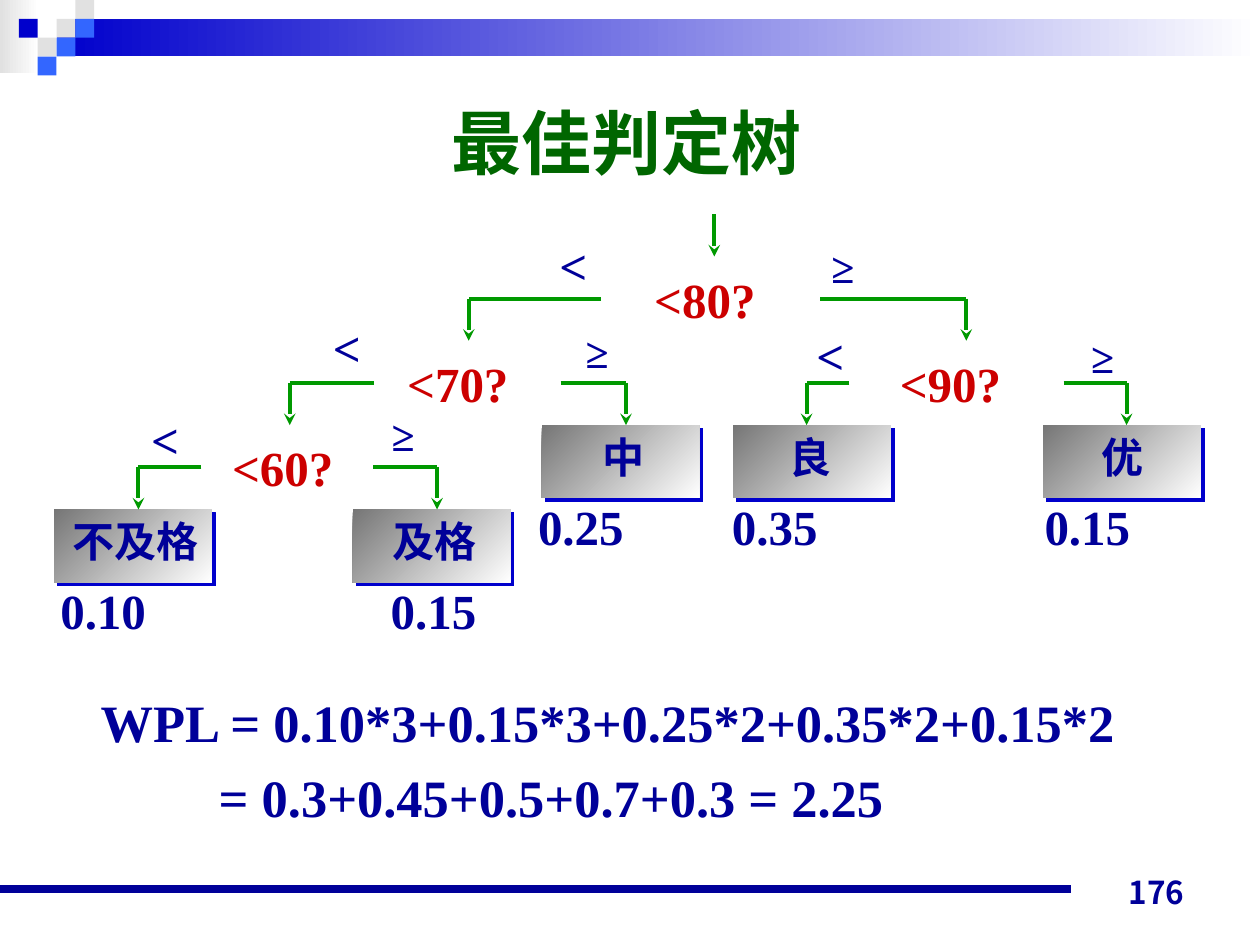
import pptx
import pptx.dml.color
import pptx.enum.shapes
import pptx.enum.text
import pptx.oxml
import pptx.oxml.ns
import pptx.util
from dataclasses import dataclass

Cm = pptx.util.Cm
Pt = pptx.util.Pt
RGB = pptx.dml.color.RGBColor.from_string
Align = pptx.enum.text.PP_ALIGN
Anchor = pptx.enum.text.MSO_ANCHOR
qn = pptx.oxml.ns.qn


@dataclass
class Theme:
    latin: str = "Times New Roman"
    asian: str = "Noto Sans CJK JP"
    navy: str = "000099"
    blue: str = "0000CC"
    sky: str = "3366FF"
    mist: str = "E1E1E1"
    steel: str = "767676"
    white: str = "FFFFFF"
    title_green: str = "006600"
    branch_green: str = "009900"
    red: str = "CC0000"
    title_size: int = 40
    formula_size: int = 30
    value_size: int = 28
    label_size: int = 24
    number_size: int = 18


theme = Theme()


def write_span(para, text, size, colour, latin=theme.latin):
    span = para.add_run()
    span.text = text
    span.font.size = Pt(size)
    span.font.bold = True
    span.font.color.rgb = RGB(colour)
    span.font.name = latin
    asian = pptx.oxml.parse_xml(
        f'<a:ea {pptx.oxml.ns.nsdecls("a")} typeface="{theme.asian}"/>')
    span.font._element.find(qn("a:latin")).addnext(asian)


def draw_line(x1, y1, x2, y2, colour, width, arrow=False):
    line = page.shapes.add_connector(
        pptx.enum.shapes.MSO_CONNECTOR.STRAIGHT, Cm(x1), Cm(y1), Cm(x2), Cm(y2))
    line.line.color.rgb = RGB(colour)
    line.line.width = Pt(width)
    properties = line._element.spPr
    if arrow:
        head = pptx.oxml.parse_xml(
            f'<a:tailEnd {pptx.oxml.ns.nsdecls("a")} type="stealth"/>')
        properties.find(qn("a:ln")).append(head)
    properties.append(pptx.oxml.parse_xml(
        f'<a:effectLst {pptx.oxml.ns.nsdecls("a")}/>'))


deck = pptx.Presentation()
deck.slide_width, deck.slide_height = Cm(25.4), Cm(19.05)
page = deck.slides.add_slide(deck.slide_layouts[5])

# Title
title = page.shapes.title
title.left, title.top, title.width, title.height = Cm(8.84), Cm(1.88), Cm(7.57), Cm(1.96)
title.text_frame.word_wrap = False
title.text_frame.vertical_anchor = Anchor.MIDDLE
title.text_frame.paragraphs[0].alignment = Align.CENTER
write_span(title.text_frame.paragraphs[0], "最佳判定树", theme.title_size, theme.title_green)

# Tree geometry: one step per level, each arrow drops half a step
step = 1.7
drop = step / 2
bar_tops = [6.02 + step * level for level in range(3)]

# Leaves: name, level of the branch, left edge, name centre, weight, weight centre
leaves = [
    ("不及格", 2, 1.09, 2.73, "0.10", 2.08),
    ("及格", 2, 7.11, 8.75, "0.15", 8.74),
    ("中", 1, 10.92, 12.57, "0.25", 11.71),
    ("良", 1, 14.78, 16.33, "0.35", 15.62),
    ("优", 1, 21.03, 22.63, "0.15", 21.92),
]

# Rectangles: left, top, width, height, start colour, end colour, angle, raised
cell = 0.38
rectangles = [
    (0, 0, 0.79, 1.47, theme.mist, theme.white, 0, False),
    (3 * cell, cell, 24.26, 2 * cell, theme.blue, theme.white, 0, False),
]
for column, row, colour in [
    (3, 1, theme.mist), (4, 0, theme.mist), (4, 1, theme.sky), (2, 2, theme.mist),
    (1, 1, theme.blue), (3, 2, theme.sky), (2, 3, theme.sky),
]:
    rectangles.append((column * cell, row * cell, cell, cell, colour, None, 0, False))
for name, level, left, name_x, weight, weight_x in leaves:
    rectangles.append((left, bar_tops[level] + drop, 3.18, 1.47,
                       theme.steel, theme.white, 315, True))

for left, top, width, height, start, end, angle, raised in rectangles:
    box = page.shapes.add_shape(pptx.enum.shapes.MSO_SHAPE.RECTANGLE,
                                Cm(left), Cm(top), Cm(width), Cm(height))
    box.shadow.inherit = False
    box.line.fill.background()
    if end is None:
        box.fill.solid()
        box.fill.fore_color.rgb = RGB(start)
    else:
        box.fill.gradient()
        box.fill.gradient_angle = angle
        for stop, colour in zip(box.fill.gradient_stops, (start, end)):
            stop.color.rgb = RGB(colour)
    if raised:
        box._element.spPr.find(qn("a:effectLst")).append(pptx.oxml.parse_xml(
            f'<a:outerShdw {pptx.oxml.ns.nsdecls("a")} dist="{Pt(2.8)}" dir="2700000" '
            f'algn="ctr" rotWithShape="0"><a:srgbClr val="{theme.blue}"/></a:outerShdw>'))

# Branches: level, bar start, bar end, sign, sign centre
branches = [
    (0, 12.12, 9.45, "<", 11.56, 5.35),
    (0, 16.54, 19.48, "≥", 16.99, 5.38),
    (1, 7.54, 5.84, "<", 6.99, 7.0),
    (1, 11.3, 12.62, "≥", 12.04, 7.09),
    (1, 17.12, 16.26, "<", 16.74, 7.15),
    (1, 21.44, 22.71, "≥", 22.23, 7.19),
    (2, 4.06, 2.79, "<", 3.33, 8.85),
    (2, 7.52, 8.81, "≥", 8.13, 8.76),
]
draw_line(14.4, 4.32, 14.4, 4.32 + drop, theme.branch_green, 2.25, arrow=True)
for level, start, end, sign, sign_x, sign_y in branches:
    y = bar_tops[level]
    draw_line(start, y, end, y, theme.branch_green, 2.25)
    draw_line(end, y, end, y + drop, theme.branch_green, 2.25, arrow=True)

# Labels: text, centre x, centre y, width, height, size, colour
labels = []
for text, level, x in [("<60?", 2, 5.7), ("<70?", 1, 9.23),
                       ("<80?", 0, 14.21), ("<90?", 1, 19.16)]:
    labels.append((text, x, bar_tops[level], 2.57, 1.45, theme.value_size, theme.red))
for level, start, end, sign, sign_x, sign_y in branches:
    width, height, size = {"<": (1.07, 1.45, theme.value_size),
                           "≥": (1.37, 1.27, theme.label_size)}[sign]
    labels.append((sign, sign_x, sign_y, width, height, size, theme.navy))
for name, level, left, name_x, weight, weight_x in leaves:
    top = bar_tops[level] + drop
    labels.append((name, name_x, top + 0.64, 0.5 + 0.86 * len(name), 1.27,
                   theme.label_size, theme.navy))
    labels.append((weight, weight_x, top + 2.03, 2.24, 1.45, theme.value_size, theme.navy))

for text, x, y, width, height, size, colour in labels:
    box = page.shapes.add_textbox(Cm(x - width / 2), Cm(y - height / 2), Cm(width), Cm(height))
    box.text_frame.word_wrap = False
    box.text_frame.vertical_anchor = Anchor.MIDDLE
    para = box.text_frame.paragraphs[0]
    para.alignment = Align.CENTER
    write_span(para, text, size, colour)

# Weighted path length
formula = page.shapes.add_textbox(Cm(1.78), Cm(13.77), Cm(21.03), Cm(3.05)).text_frame
formula.word_wrap = False
formula.vertical_anchor = Anchor.MIDDLE
write_span(formula.paragraphs[0], "WPL = 0.10*3+0.15*3+0.25*2+0.35*2+0.15*2",
           theme.formula_size, theme.navy)
para = formula.add_paragraph()
para.space_before = Pt(7)
para._p.get_or_add_pPr().set("marL", str(Cm(2.38)))
write_span(para, "= 0.3+0.45+0.5+0.7+0.3 = 2.25", theme.formula_size, theme.navy)

# Footer rule and page number
draw_line(0, 17.93, 21.59, 17.93, theme.navy, 4.5)
number = page.shapes.add_textbox(Cm(18.21), Cm(17.22), Cm(5.92), Cm(1.27)).text_frame
number.word_wrap = True
number.vertical_anchor = Anchor.BOTTOM
number.paragraphs[0].alignment = Align.RIGHT
write_span(number.paragraphs[0], "176", theme.number_size, theme.navy, theme.asian)

deck.save("out.pptx")
